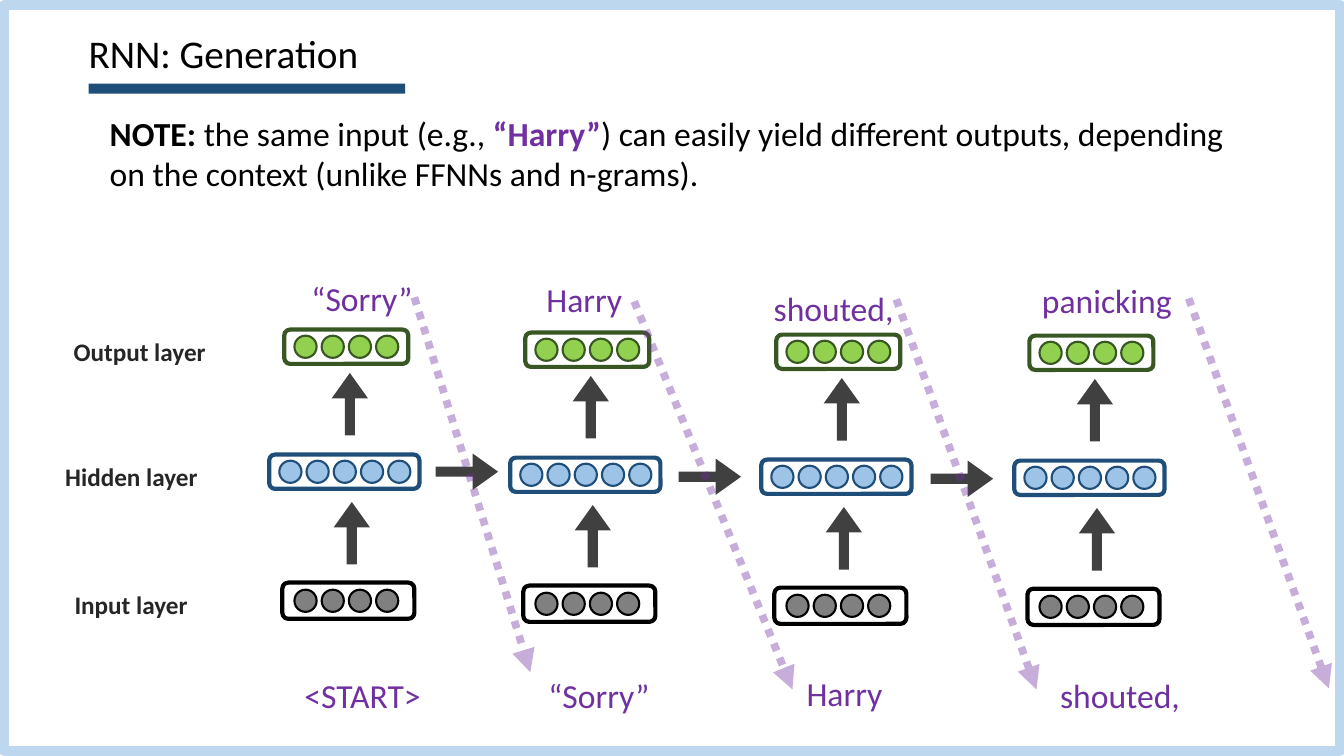
from lxml import etree
from pptx import Presentation, util as u
from pptx.dml.color import RGBColor
from pptx.enum import dml, shapes, text
from pptx.oxml import ns

BLACK = RGBColor(0x00, 0x00, 0x00)
WHITE = RGBColor(0xFF, 0xFF, 0xFF)
INK = RGBColor(0x26, 0x26, 0x26)
DARK = RGBColor(0x40, 0x40, 0x40)
GRAY = RGBColor(0x80, 0x80, 0x80)
PALE = RGBColor(0xBD, 0xD7, 0xEE)
SKY = RGBColor(0x9D, 0xC3, 0xE6)
NAVY = RGBColor(0x1F, 0x4E, 0x79)
LIME = RGBColor(0x92, 0xD0, 0x50)
GREEN = RGBColor(0x38, 0x57, 0x23)
PURPLE = RGBColor(0x70, 0x30, 0xA0)

KIND = shapes.MSO_SHAPE
RIGHT = text.PP_ALIGN.RIGHT


class Board:
    """Draws styled elements on one slide, on a grid of one-inch columns and rows."""

    font = "Calibri"
    cell = u.Inches(1)

    def __init__(self, deck):
        self.slide = deck.slides.add_slide(deck.slide_layouts[6])
        self.items = self.slide.shapes

    def grid(self, *spans):
        return [round(span * self.cell) for span in spans]

    def shape(self, kind, box, fill=None, line=None, width=1.5):
        item = self.items.add_shape(kind, *self.grid(*box))
        item.shadow.inherit = False
        if fill is None:
            item.fill.background()
        else:
            item.fill.solid()
            item.fill.fore_color.rgb = fill
        if line is None:
            item.line.fill.background()
        else:
            item.line.color.rgb = line
            item.line.width = u.Pt(width)
        return item

    def words(self, box, runs, size, align=None, lead=None):
        frame = self.items.add_textbox(*self.grid(*box)).text_frame
        frame.word_wrap = True
        para = frame.paragraphs[0]
        para.alignment = align
        para.line_spacing = lead
        for words, color, bold in runs:
            run = para.add_run()
            run.text = words
            run.font.name = self.font
            run.font.size = u.Pt(size)
            run.font.bold = bold
            run.font.color.rgb = color

    def label(self, box, words, size, color, bold=False):
        self.words(box, [(words, color, bold)], size, RIGHT, 1.2)

    def arrow(self, left, top, turn=0):
        item = self.shape(KIND.RIGHT_ARROW, (left, top, 0.62, 0.36), DARK)
        item.adjustments[0] = 0.28
        item.adjustments[1] = 0.7
        item.rotation = turn

    def layer(self, box, start, count, fill, line):
        left, top, width, height = box
        self.shape(KIND.ROUNDED_RECTANGLE, box, None, line, 3)
        for n in range(count):
            dot = (start + n * 0.27, top + height / 2 - 0.11, 0.22, 0.22)
            self.shape(KIND.OVAL, dot, fill, line)

    def feed(self, start, end):
        item = self.items.add_connector(
            shapes.MSO_CONNECTOR.STRAIGHT, *self.grid(*start, *end))
        item.line.color.rgb = PURPLE
        item.line.width = u.Pt(5.5)
        item.line.dash_style = dml.MSO_LINE.ROUND_DOT
        props = item._element.spPr
        line = props.find(ns.qn("a:ln"))
        tint = line.find(".//" + ns.qn("a:srgbClr"))
        etree.SubElement(tint, ns.qn("a:alpha"), val="39000")
        etree.SubElement(line, ns.qn("a:tailEnd"), type="triangle")
        etree.SubElement(props, ns.qn("a:effectLst"))


def main():
    deck = Presentation()
    deck.slide_width = u.Inches(13.33)
    deck.slide_height = u.Inches(7.5)
    board = Board(deck)

    board.shape(KIND.RECTANGLE, (0.04, 0.05, 13.25, 7.4), WHITE, PALE, 7)
    board.shape(KIND.RECTANGLE, (0.88, 0.83, 3.14, 0.1), NAVY)
    board.words((0.78, 0.29, 3.53, 0.6),
                [("RNN: Generation", BLACK, False)], 28, lead=0.9)
    board.words((0.99, 1.07, 11.47, 4.96), [
        ("NOTE: ", BLACK, True),
        ("the same input (e.g., ", BLACK, False),
        ("“Harry”", PURPLE, True),
        (") can easily yield different outputs, depending on the context "
         "(unlike FFNNs and n-grams).", BLACK, False),
    ], 24)

    for left, top, width, name in (
            (0.29, 5.74, 1.67, "Input layer"),
            (0.16, 4.47, 1.9, "Hidden layer"),
            (0.26, 3.23, 1.88, "Output layer")):
        board.label((left, top, width, 0.52), name, 18, INK, True)

    for x, y in ((2.67, 3.27), (5.06, 3.3), (7.55, 3.32), (10.06, 3.33)):
        board.layer((x + 0.13, y + 2.51, 1.31, 0.36), x + 0.25, 4, GRAY, BLACK)
        board.layer((x, y + 1.24, 1.49, 0.34), x + 0.1, 5, SKY, NAVY)
        board.layer((x + 0.15, y, 1.23, 0.34), x + 0.25, 4, LIME, GREEN)
        board.arrow(x + 0.49, y + 0.56, 270)
        board.arrow(x + 0.51, y + 1.84, 270)

    for left, top in ((4.32, 4.5), (6.73, 4.55), (9.23, 4.57)):
        board.arrow(left, top)

    for left, top, width, word in (
            (2.52, 6.57, 1.75, "<START>"),
            (5.2, 6.57, 1.34, "“Sorry”"),
            (7.74, 6.55, 1.11, "Harry"),
            (10.28, 6.57, 1.52, "shouted,"),
            (2.85, 2.63, 1.34, "“Sorry”"),
            (5.16, 2.64, 1.11, "Harry"),
            (7.37, 2.73, 1.59, "shouted,"),
            (9.81, 2.65, 1.91, "panicking")):
        board.label((left, top, width, 0.55), word, 24, PURPLE)

    for start, end in (
            ((4.11, 2.95), (5.26, 6.67)),
            ((6.29, 2.99), (7.86, 6.84)),
            ((8.89, 2.97), (10.28, 6.84)),
            ((11.79, 2.96), (13.18, 6.83))):
        board.feed(start, end)

    deck.save("out.pptx")


if __name__ == "__main__":
    main()
